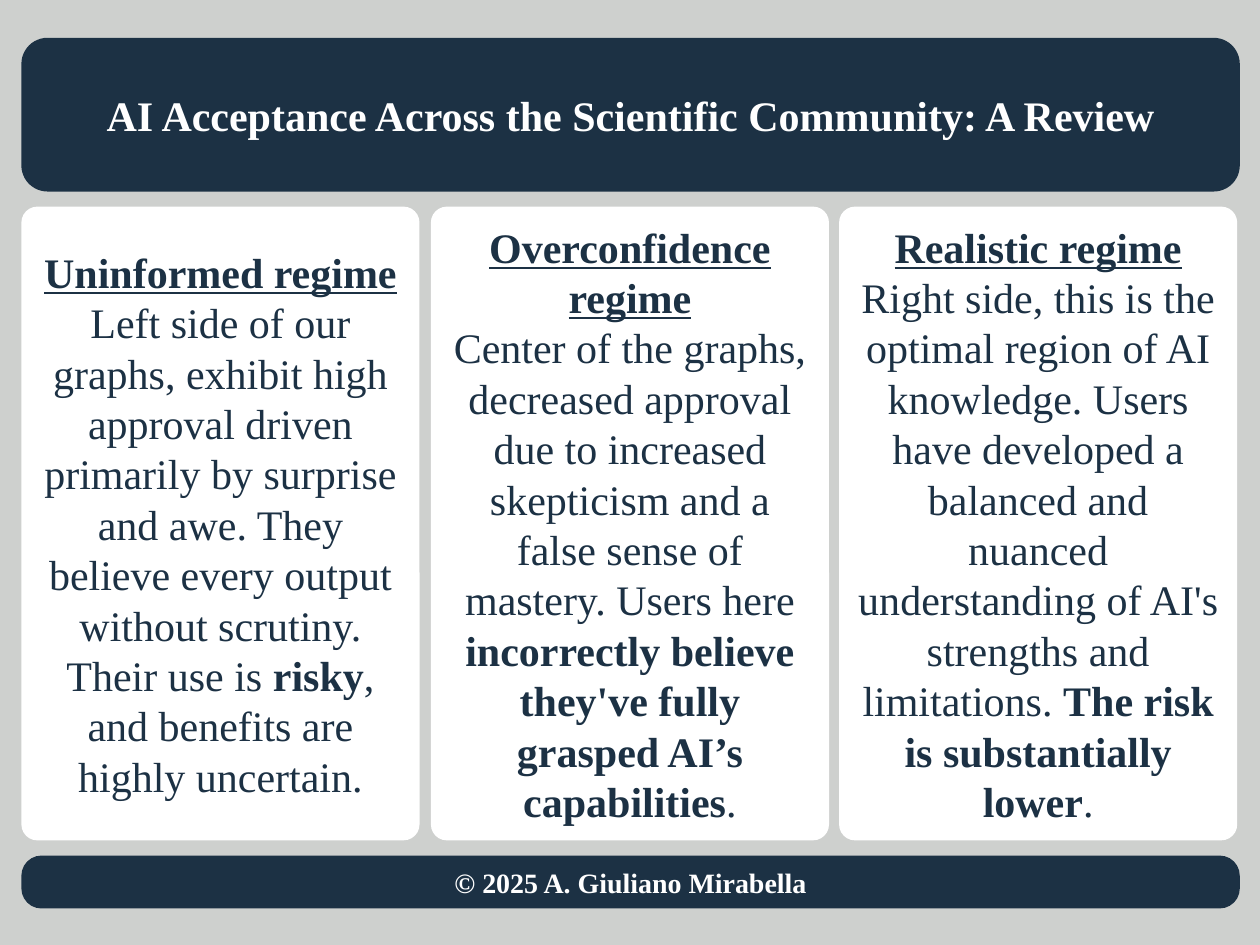
from pptx import Presentation
from pptx.dml.color import RGBColor
from pptx.enum.shapes import MSO_SHAPE
from pptx.enum.text import MSO_ANCHOR, PP_ALIGN
from pptx.util import Pt

NAVY = RGBColor(0x1C, 0x31, 0x44)
WHITE = RGBColor(0xFF, 0xFF, 0xFF)
GREY = RGBColor(0xCE, 0xD0, 0xCE)

LEFT = 12.24
BANNER_WIDTH = 696.24
CARD_TOP, CARD_WIDTH, CARD_HEIGHT = 118.08, 227.52, 362.16

CARDS = [
    (LEFT, "Uninformed regime", [
        ("Left side of our graphs, exhibit high approval driven primarily by "
         "surprise and awe. They believe every output without scrutiny. "
         "Their use is ", False),
        ("risky", True),
        (", and benefits are highly uncertain.", False),
    ]),
    (246.24, "Overconfidence regime", [
        ("Center of the graphs, decreased approval due to increased skepticism "
         "and a false sense of mastery. Users here ", False),
        ("incorrectly believe they've fully grasped AI’s capabilities", True),
        (".", False),
    ]),
    (479.52, "Realistic regime", [
        ("Right side, this is the optimal region of AI knowledge. Users have "
         "developed a balanced and nuanced understanding of AI's strengths "
         "and limitations. ", False),
        ("The risk is substantially lower", True),
        (".", False),
    ]),
]


class Deck:
    font = "Times New Roman"

    def __init__(self, width, height):
        self.prs = Presentation()
        self.prs.slide_width = Pt(width)
        self.prs.slide_height = Pt(height)
        self.s = None

    def slide(self, color):
        self.s = self.prs.slides.add_slide(self.prs.slide_layouts[6])
        fill = self.s.background.fill
        fill.solid()
        fill.fore_color.rgb = color

    def panel(self, left, top, width, height, radius, color):
        sp = self.s.shapes.add_shape(
            MSO_SHAPE.ROUNDED_RECTANGLE,
            Pt(left), Pt(top), Pt(width), Pt(height))
        sp.adjustments[0] = radius
        sp.shadow.inherit = False
        sp.fill.solid()
        sp.fill.fore_color.rgb = color
        sp.line.fill.background()
        tf = sp.text_frame
        tf.word_wrap = True
        tf.vertical_anchor = MSO_ANCHOR.MIDDLE
        return tf

    def style(self, r, size, color, bold=True, underline=False):
        r.font.name = self.font
        r.font.size = Pt(size)
        r.font.color.rgb = color
        r.font.bold = bold
        r.font.underline = underline

    def banner(self, top, height, radius, text, size):
        tf = self.panel(LEFT, top, BANNER_WIDTH, height, radius, NAVY)
        tf.text = text
        p = tf.paragraphs[0]
        p.alignment = PP_ALIGN.CENTER
        self.style(p.runs[0], size, WHITE)

    def card(self, left, heading, body):
        tf = self.panel(left, CARD_TOP, CARD_WIDTH, CARD_HEIGHT, 0.04, WHITE)
        tf.text = heading
        self.style(tf.paragraphs[0].runs[0], 24, NAVY, underline=True)
        p = tf.add_paragraph()
        for text, bold in body:
            r = p.add_run()
            r.text = text
            self.style(r, 24, NAVY, bold)
        for p in tf.paragraphs:
            p.alignment = PP_ALIGN.CENTER

    def save(self):
        self.prs.save("out.pptx")


def main():
    deck = Deck(720, 540)
    deck.slide(GREY)
    for left, heading, body in reversed(CARDS):
        deck.card(left, heading, body)
    deck.banner(21.6, 87.84, 0.17,
                "AI Acceptance Across the Scientific Community: A Review", 24)
    deck.banner(488.88, 30.24, 0.38, "© 2025 A. Giuliano Mirabella", 16)
    deck.save()


if __name__ == "__main__":
    main()
